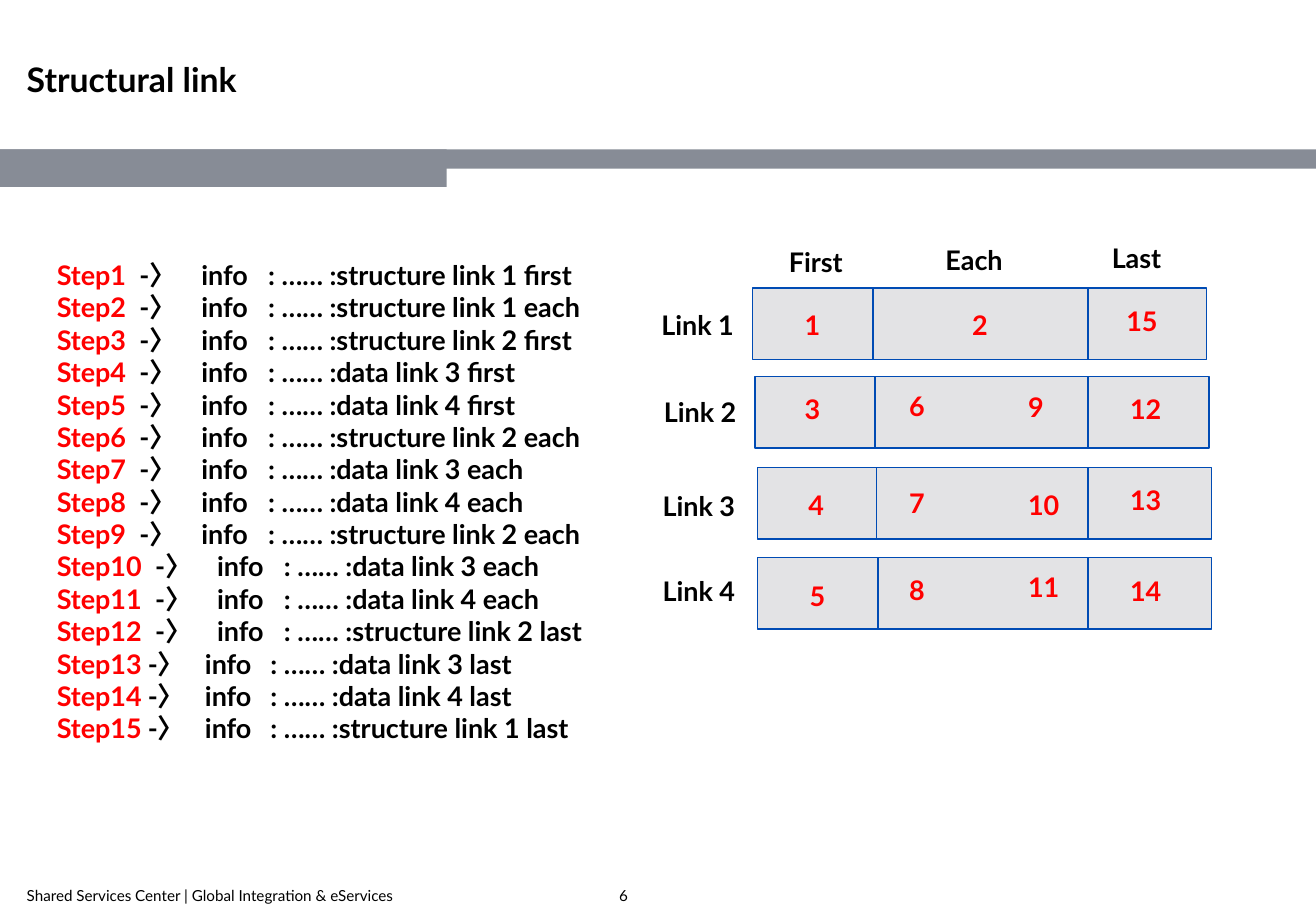
"""Build the slide that shows the processing order of structural links."""
from dataclasses import dataclass
from typing import NamedTuple

from lxml import etree
from pptx import Presentation
from pptx import util as u
from pptx.dml.color import RGBColor
from pptx.enum import shapes, text
from pptx.oxml import ns

PX = 9144


@dataclass(frozen=True)
class Theme:
    font: str = "Lato"
    ink: RGBColor = RGBColor(0, 0, 0)
    accent: RGBColor = RGBColor(255, 0, 0)
    bar: RGBColor = RGBColor(0x87, 0x8C, 0x96)
    cell: RGBColor = RGBColor(0xC8, 0xC8, 0xCD)
    border: RGBColor = RGBColor(0x00, 0x4B, 0xB4)
    cell_alpha: int = 50000
    title_size: int = 20
    body_size: int = 16
    footer_size: int = 9
    border_width: int = 1


class Box(NamedTuple):
    left: int
    top: int
    width: int
    height: int


class Label(NamedTuple):
    words: str
    left: int
    top: int


class LinkRow(NamedTuple):
    left: int
    top: int
    first_divider: int
    caption: Label
    numbers: tuple[Label, ...]


class StepGroup(NamedTuple):
    tabs: tuple[int, ...]
    details: tuple[str, ...]


THEME = Theme()
SLIDE = (1084, 750)
TITLE = Box(22, 48, 756, 71)
STEPS = Box(37, 208, 497, 410)
BARS = (Box(0, 123, 1084, 16), Box(0, 123, 368, 31))
FOOTERS = (
    ("6", Box(510, 729, 63, 16)),
    ("Shared Services Center | Global Integration & eServices", Box(22, 729, 465, 16)),
)
ROW_WIDTH, ROW_HEIGHT, LAST_DIVIDER = 374, 59, 896
LABEL_HEIGHT, CAPTION_WIDTH, DIGIT_WIDTH, PAIR_WIDTH = 37, 86, 39, 65
HEADINGS = (Label("First", 640, 197), Label("Each", 769, 196), Label("Last", 906, 194))
ROWS = (
    LinkRow(620, 237, 719, Label("Link 1", 535, 249),
            (Label("1", 653, 249), Label("2", 791, 249), Label("15", 918, 246))),
    LinkRow(622, 310, 721, Label("Link 2", 537, 321),
            (Label("3", 653, 318), Label("6", 739, 316), Label("9", 837, 317),
             Label("12", 921, 318))),
    LinkRow(624, 385, 722, Label("Link 3", 536, 398),
            (Label("4", 656, 397), Label("7", 739, 396), Label("10", 837, 397),
             Label("13", 921, 393))),
    LinkRow(624, 459, 723, Label("Link 4", 536, 468),
            (Label("5", 657, 472), Label("8", 739, 467), Label("11", 837, 465),
             Label("14", 921, 468))),
)
STEP_GROUPS = (
    StepGroup((68, 119, 174), (
        "structure link 1 first", "structure link 1 each", "structure link 2 first",
        "data link 3 first", "data link 4 first", "structure link 2 each",
        "data link 3 each", "data link 4 each", "structure link 2 each")),
    StepGroup((81, 132, 187), (
        "data link 3 each", "data link 4 each", "structure link 2 last")),
    StepGroup((75, 122, 176), (
        "data link 3 last", "data link 4 last", "structure link 1 last")),
)


def scale(box: Box) -> list[int]:
    return [length * PX for length in box]


def set_frame(frame, inset: tuple[int, int], anchor=text.MSO_ANCHOR.TOP) -> None:
    frame.word_wrap = True
    frame.auto_size = text.MSO_AUTO_SIZE.NONE
    frame.vertical_anchor = anchor
    frame.margin_left = frame.margin_right = inset[0] * PX
    frame.margin_top = frame.margin_bottom = inset[1] * PX


def set_font(paragraph, size: int, bold: bool, color: RGBColor = THEME.ink) -> None:
    paragraph.alignment = text.PP_ALIGN.LEFT
    font = paragraph.font
    font.name, font.size, font.bold = THEME.font, u.Pt(size), bold
    font.color.rgb = color


def add_text(slide, words: str, box: Box, color: RGBColor = THEME.ink) -> None:
    shape = slide.shapes.add_textbox(*scale(box))
    set_frame(shape.text_frame, (10, 5))
    paragraph = shape.text_frame.paragraphs[0]
    paragraph.text = words
    set_font(paragraph, THEME.body_size, True, color)


def add_footer(slide, words: str, box: Box) -> None:
    shape = slide.shapes.add_textbox(*scale(box))
    set_frame(shape.text_frame, (0, 0), text.MSO_ANCHOR.MIDDLE)
    paragraph = shape.text_frame.paragraphs[0]
    paragraph.text = words
    set_font(paragraph, THEME.footer_size, False)


def add_rectangle(slide, box: Box, color: RGBColor):
    shape = slide.shapes.add_shape(shapes.MSO_SHAPE.RECTANGLE, *scale(box))
    shape.shadow.inherit = False
    shape.fill.solid()
    shape.fill.fore_color.rgb = color
    shape.line.fill.background()
    return shape


def set_border(line) -> None:
    line.color.rgb = THEME.border
    line.width = u.Pt(THEME.border_width)


def add_row(slide, row: LinkRow) -> None:
    box = Box(row.left, row.top, ROW_WIDTH, ROW_HEIGHT)
    cell = add_rectangle(slide, box, THEME.cell)
    color = cell.fill._xPr.find(f".//{ns.qn('a:srgbClr')}")
    etree.SubElement(color, ns.qn("a:alpha"), val=str(THEME.cell_alpha))
    set_border(cell.line)
    for x in (row.first_divider, LAST_DIVIDER):
        divider = slide.shapes.add_connector(
            shapes.MSO_CONNECTOR.STRAIGHT,
            x * PX, row.top * PX, x * PX, (row.top + ROW_HEIGHT) * PX)
        set_border(divider.line)
        etree.SubElement(divider._element.spPr, ns.qn("a:effectLst"))
    for words, left, top in row.numbers:
        width = DIGIT_WIDTH if len(words) == 1 else PAIR_WIDTH
        add_text(slide, words, Box(left, top, width, LABEL_HEIGHT), THEME.accent)


def set_tabs(paragraph, tabs: tuple[int, ...]) -> None:
    properties = paragraph._p.get_or_add_pPr()
    stops = etree.SubElement(properties, ns.qn("a:tabLst"))
    for position in tabs:
        etree.SubElement(stops, ns.qn("a:tab"), pos=str(position * PX), algn="l")


def add_steps(slide) -> None:
    frame = slide.shapes.add_textbox(*scale(STEPS)).text_frame
    set_frame(frame, (10, 5))
    steps = [(group.tabs, detail) for group in STEP_GROUPS for detail in group.details]
    for number, (tabs, detail) in enumerate(steps, 1):
        paragraph = frame.paragraphs[0] if number == 1 else frame.add_paragraph()
        set_tabs(paragraph, tabs)
        set_font(paragraph, THEME.body_size, True)
        name = paragraph.add_run()
        name.text = f"Step{number}"
        name.font.color.rgb = THEME.accent
        paragraph.add_run().text = f"\t-〉\tinfo\t: …… :{detail}"


def main() -> None:
    presentation = Presentation()
    presentation.slide_width, presentation.slide_height = (side * PX for side in SLIDE)
    slide = presentation.slides.add_slide(presentation.slide_layouts.get_by_name("Title Only"))
    title = slide.shapes.title
    title.left, title.top, title.width, title.height = scale(TITLE)
    title.text_frame.text = "Structural link"
    set_frame(title.text_frame, (0, 0))
    set_font(title.text_frame.paragraphs[0], THEME.title_size, True)
    for bar in BARS:
        add_rectangle(slide, bar, THEME.bar)
    for words, box in FOOTERS:
        add_footer(slide, words, box)
    add_steps(slide)
    for row in ROWS:
        add_row(slide, row)
    for words, left, top in HEADINGS + tuple(row.caption for row in ROWS):
        add_text(slide, words, Box(left, top, CAPTION_WIDTH, LABEL_HEIGHT))
    presentation.save("out.pptx")


if __name__ == "__main__":
    main()
